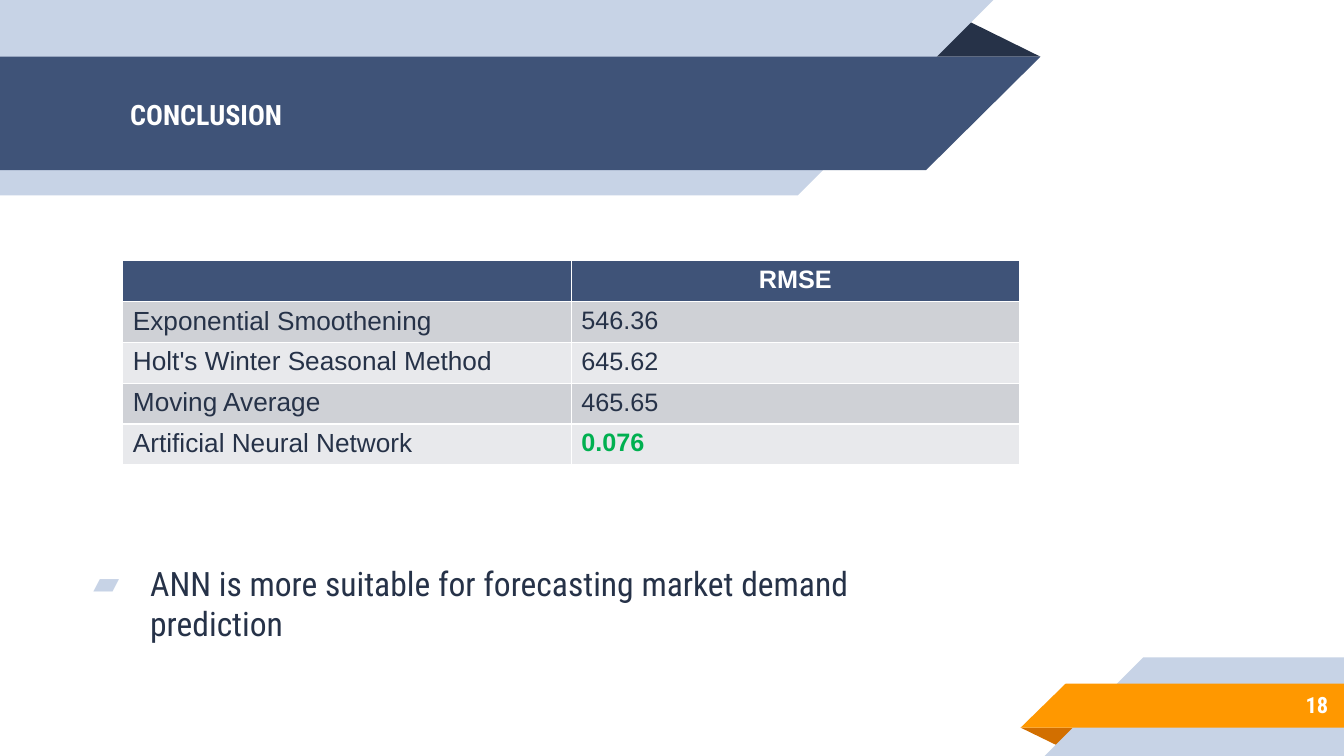
from lxml import etree
from pptx import Presentation
from pptx.dml.color import RGBColor
from pptx.enum.text import MSO_ANCHOR, PP_ALIGN
from pptx.oxml.ns import qn
from pptx.util import Pt

PX = 9525
LEFT, CENTER, RIGHT = PP_ALIGN.LEFT, PP_ALIGN.CENTER, PP_ALIGN.RIGHT
MIDDLE = MSO_ANCHOR.MIDDLE

HEADING_FONT, TABLE_FONT = "Roboto Condensed", "Arial"
WHITE, PALE, NAVY, INK = "FFFFFF", "C7D3E6", "3F5378", "263248"
ORANGE, BURNT, GREEN = "FF9800", "D26F00", "00B050"
BANDS = ("CFD1D6", "E8E9EC")

# Fold, backing band and front band of each ribbon, from back to front
RIBBONS = [
    (BURNT, [(972, 693), (1027, 693), (1009, 711)]),
    (PALE, [(995, 720), (1089, 626), (1280, 626), (1280, 720)]),
    (ORANGE, [(972, 693), (1015, 651), (1280, 651), (1280, 693)]),
    (INK, [(881, 54), (991, 54), (916, 17)]),
    (PALE, [(0, 0), (946, 0), (760, 186), (0, 186)]),
    (NAVY, [(0, 54), (991, 54), (882, 162), (0, 162)]),
]

RMSE_BY_METHOD = [
    ("Exponential Smoothening", "546.36"),
    ("Holt's Winter Seasonal Method", "645.62"),
    ("Moving Average", "465.65"),
    ("Artificial Neural Network", "0.076"),
]


def px(*lengths):
    return [length * PX for length in lengths]


def rgb(color):
    return RGBColor.from_string(color)


def write(frame, text, font=HEADING_FONT, size=18, color=INK, bold=False, align=LEFT):
    paragraph = frame.paragraphs[0]
    paragraph.alignment = align
    run = paragraph.add_run()
    run.text = text
    run.font.name = font
    run.font.size = Pt(size)
    run.font.bold = bold
    run.font.color.rgb = rgb(color)
    return paragraph


def set_frame(frame):
    """Wrap the text, centre it vertically and give it even insets."""
    frame.word_wrap = True
    frame.vertical_anchor = MIDDLE
    frame.margin_left = frame.margin_right = 10 * PX
    frame.margin_top = frame.margin_bottom = 10 * PX


def add_text(slide, box, text, **text_format):
    frame = slide.shapes.add_textbox(*px(*box)).text_frame
    set_frame(frame)
    return write(frame, text, **text_format)


def add_bullet(paragraph, char, color):
    paragraph.space_before = Pt(8)
    properties = paragraph._p.get_or_add_pPr()
    properties.set("marL", str(64 * PX))
    properties.set("indent", str(-54 * PX))
    bullet_color = etree.SubElement(properties, qn("a:buClr"))
    etree.SubElement(bullet_color, qn("a:srgbClr"), val=color)
    etree.SubElement(properties, qn("a:buFont"), typeface=HEADING_FONT)
    etree.SubElement(properties, qn("a:buChar"), char=char)


def add_ribbon_part(slide, color, corners):
    outline = slide.shapes.build_freeform(*corners[0], scale=PX)
    outline.add_line_segments(corners[1:], close=True)
    part = outline.convert_to_shape()
    part.shadow.inherit = False
    part.fill.solid()
    part.fill.fore_color.rgb = rgb(color)
    part.line.fill.background()


def place_title(slide, box, text):
    title = slide.shapes.title
    title.left, title.top, title.width, title.height = px(*box)
    set_frame(title.text_frame)
    write(title.text_frame, text, size=20, color=WHITE, bold=True)
    # Bring the title in front of the ribbon
    slide.shapes._spTree.append(title._element)


def fill_cell(cell, color):
    cell.fill.solid()
    cell.fill.fore_color.rgb = rgb(color)


def add_rmse_table(slide, box):
    rows = len(RMSE_BY_METHOD) + 1
    table = slide.shapes.add_table(rows, 2, *px(*box)).table
    best = min(RMSE_BY_METHOD, key=lambda result: float(result[1]))

    for column in range(2):
        fill_cell(table.cell(0, column), NAVY)
    write(table.cell(0, 1).text_frame, "RMSE", font=TABLE_FONT,
          color=WHITE, bold=True, align=CENTER)

    for row, result in enumerate(RMSE_BY_METHOD, start=1):
        method_cell, error_cell = table.cell(row, 0), table.cell(row, 1)
        for cell in (method_cell, error_cell):
            fill_cell(cell, BANDS[(row - 1) % 2])
        method, error = result
        is_best = result == best
        write(method_cell.text_frame, method, font=TABLE_FONT, size=18.7)
        write(error_cell.text_frame, error, font=TABLE_FONT,
              color=GREEN if is_best else INK, bold=is_best)


def main():
    deck = Presentation()
    deck.slide_width, deck.slide_height = px(1280, 720)
    slide = deck.slides.add_slide(deck.slide_layouts[5])

    for color, corners in RIBBONS:
        add_ribbon_part(slide, color, corners)
    place_title(slide, (114, 55, 769, 108), "CONCLUSION")
    add_rmse_table(slide, (117, 248, 854, 195))
    finding = add_text(slide, (69, 478, 858, 193),
                       "ANN is more suitable for forecasting market demand prediction",
                       size=24)
    add_bullet(finding, "▰", PALE)
    add_text(slide, (1067, 649, 208, 44), "18",
             size=16, color=WHITE, bold=True, align=RIGHT)

    deck.save("out.pptx")


if __name__ == "__main__":
    main()
